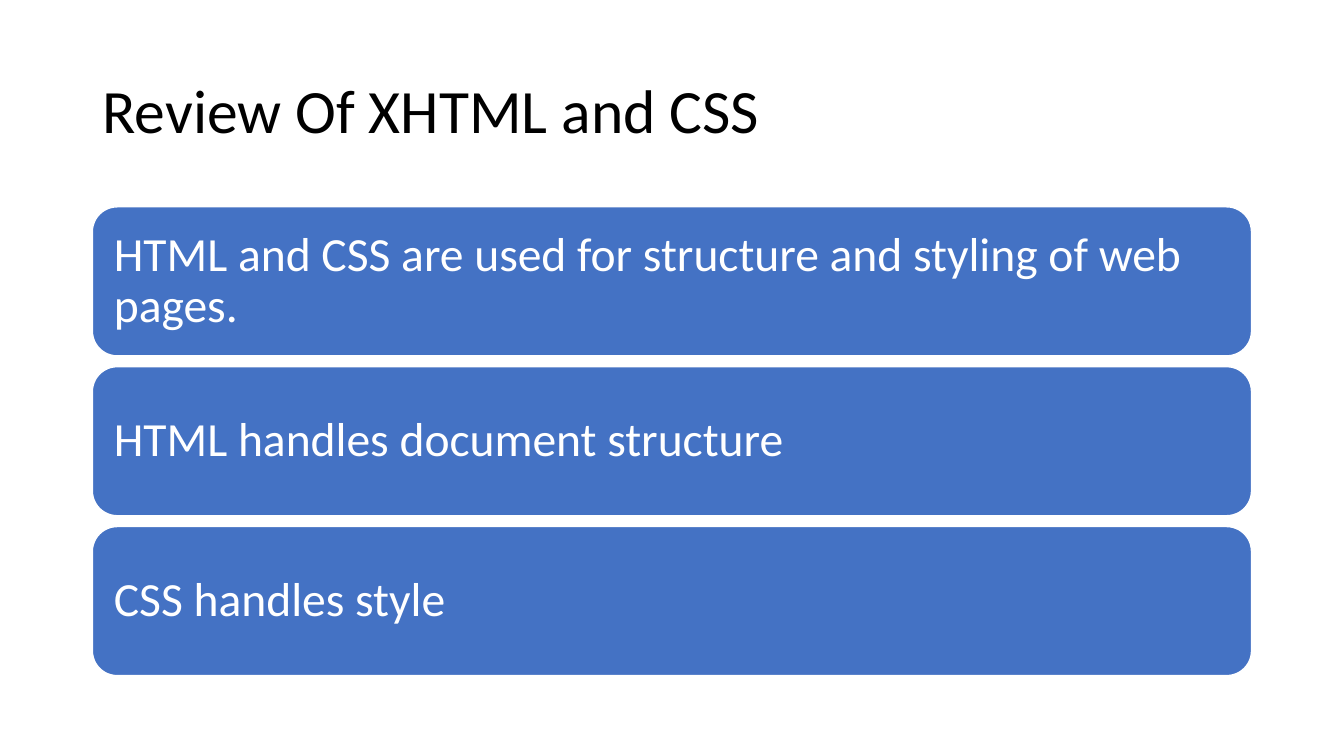
from pptx import Presentation
from pptx.dml.color import RGBColor
from pptx.enum import shapes, text
from pptx.util import Pt

hues = {"ink": "000000", "box": "4472C4", "white": "FFFFFF"}
points = [
    "HTML and CSS are used for structure and styling of web pages.",
    "HTML handles document structure",
    "CSS handles style",
]
left, wide = 66, 828
top, high, step = 147.7, 106.5, 114.2


def write(frame, words, size, hue):
    frame.word_wrap = True
    frame.auto_size = text.MSO_AUTO_SIZE.NONE
    frame.vertical_anchor = text.MSO_ANCHOR.MIDDLE
    para = frame.paragraphs[0]
    para.alignment = text.PP_ALIGN.LEFT
    para.line_spacing = 0.9
    run = para.add_run()
    run.text = words
    run.font.name = "Calibri"
    run.font.size = Pt(size)
    run.font.color.rgb = RGBColor.from_string(hues[hue])


deck = Presentation()
deck.slide_width, deck.slide_height = Pt(960), Pt(540)
slide = deck.slides.add_slide(deck.slide_layouts[5])

title = slide.shapes.title
title.left, title.top = Pt(left), Pt(28.75)
title.width, title.height = Pt(wide), Pt(104.4)
write(title.text_frame, "Review Of XHTML and CSS", 44, "ink")

for row, words in enumerate(points):
    box = slide.shapes.add_shape(
        shapes.MSO_SHAPE.ROUNDED_RECTANGLE,
        Pt(left), Pt(top + row * step), Pt(wide), Pt(high))
    box.shadow.inherit = False
    box.fill.solid()
    box.fill.fore_color.rgb = RGBColor.from_string(hues["box"])
    box.line.color.rgb = RGBColor.from_string(hues["white"])
    box.line.width = Pt(1)
    frame = box.text_frame
    frame.margin_left = frame.margin_right = Pt(10.2)
    frame.margin_top = frame.margin_bottom = Pt(10.2)
    write(frame, words, 34, "white")

deck.save("out.pptx")
